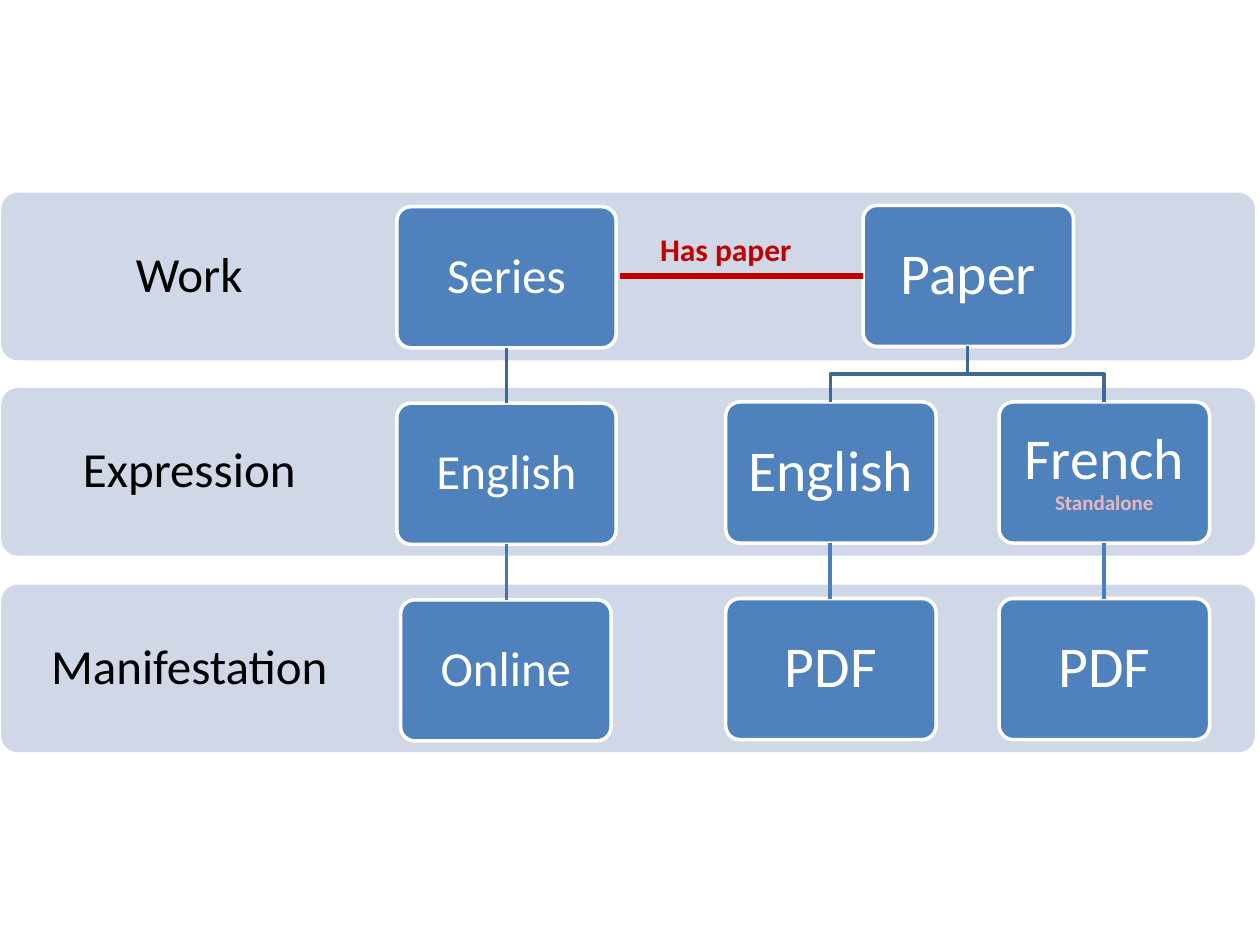
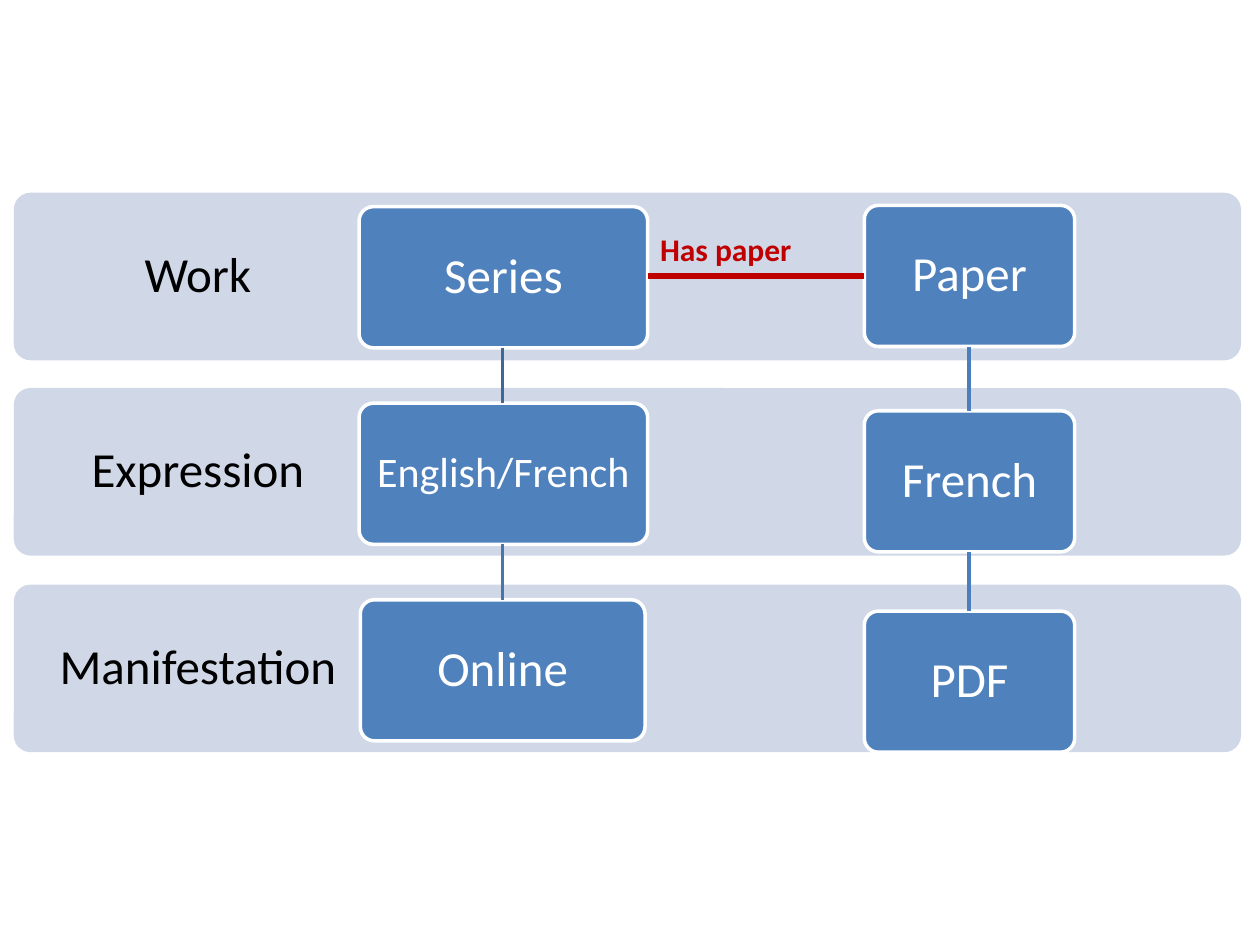
from dataclasses import dataclass

import pptx
import pptx.dml.color
import pptx.enum.shapes
import pptx.enum.text
import pptx.oxml
import pptx.util

PX = 9144  # EMU; 100 px to the inch
FONT = "Calibri"
COLORS = {
    "band": "D0D8E8",
    "box": "4F81BD",
    "white": "FFFFFF",
    "black": "000000",
    "dark": "3F6797",
    "mid": "4875AC",
    "light": "4B7EBC",
    "relation": "C00000",
    "note": "E6B9B8",
}
LEVELS = {"Work": 153, "Expression": 308, "Manifestation": 464}
BAND_HEIGHT = 133
LABEL_SHARE = 0.3
BOX_HEIGHT = 112
RELATION_Y = 219


@dataclass
class Box:
    text: str
    left: int
    top: int
    width: int = 167
    size: int = 28
    inset: int = 14
    note: str = ""

    @property
    def center(self) -> int:
        return self.left + self.width // 2

    @property
    def bottom(self) -> int:
        return self.top + BOX_HEIGHT


@dataclass
class Link:
    upper: Box
    lower: Box
    color: str = "light"
    weight: float = 2.25


@dataclass
class Diagram:
    band_left: int
    band_width: int
    boxes: list[Box]
    links: list[Link]
    relation_start: int
    relation_end: int


def px(n: float) -> int:
    return pptx.util.Emu(round(n * PX))


def rgb(name: str) -> pptx.dml.color.RGBColor:
    return pptx.dml.color.RGBColor.from_string(COLORS[name])


def style_line(line, color: str, weight: float) -> None:
    line.color.rgb = rgb(color)
    line.width = pptx.util.Pt(weight)


def add_round_rect(s, left: int, top: int, width: int, height: int, fill: str):
    sp = s.shapes.add_shape(pptx.enum.shapes.MSO_SHAPE.ROUNDED_RECTANGLE,
                            px(left), px(top), px(width), px(height))
    sp.adjustments[0] = 0.1
    sp.shadow.inherit = False
    sp.fill.solid()
    sp.fill.fore_color.rgb = rgb(fill)
    return sp


def center_text(tf, inset: int) -> None:
    tf.word_wrap = True
    tf.vertical_anchor = pptx.enum.text.MSO_ANCHOR.MIDDLE
    tf.margin_left = tf.margin_right = tf.margin_top = tf.margin_bottom = px(inset)
    for p in tf.paragraphs:
        p.alignment = pptx.enum.text.PP_ALIGN.CENTER
        p.line_spacing = 0.9


def write(p, text: str, size: int, color: str, bold: bool = False) -> None:
    p.text = text
    p.font.name = FONT
    p.font.size = pptx.util.Pt(size)
    p.font.bold = bold
    p.font.color.rgb = rgb(color)


def add_band(s, left: int, top: int, width: int, level: str) -> None:
    add_round_rect(s, left, top, width, BAND_HEIGHT, "band").line.fill.background()
    tf = s.shapes.add_textbox(px(left), px(top), px(width * LABEL_SHARE),
                              px(BAND_HEIGHT)).text_frame
    write(tf.paragraphs[0], level, 28, "black")
    center_text(tf, 22)


def add_box(s, box: Box) -> None:
    sp = add_round_rect(s, box.left, box.top, box.width, BOX_HEIGHT, "box")
    style_line(sp.line, "white", 2)
    tf = sp.text_frame
    write(tf.paragraphs[0], box.text, box.size, "white")
    if box.note:
        write(tf.add_paragraph(), box.note, 12, "note", bold=True)
    center_text(tf, box.inset)


def add_line(s, x1: int, y1: int, x2: int, y2: int, color: str, weight: float) -> None:
    line = s.shapes.add_connector(pptx.enum.shapes.MSO_CONNECTOR.STRAIGHT,
                                  px(x1), px(y1), px(x2), px(y2))
    style_line(line.line, color, weight)
    line._element.spPr.append(pptx.oxml.parse_xml(
        '<a:effectLst xmlns:a="http://schemas.openxmlformats.org/drawingml/2006/main"/>'))


def add_link(s, link: Link) -> None:
    """Join two boxes: straight within a column, stepped across columns."""
    x1, y1 = link.upper.center, link.upper.bottom
    x2, y2 = link.lower.center, link.lower.top
    if abs(x1 - x2) <= 1:
        add_line(s, x1, y1, x1, y2, link.color, link.weight)
        return
    middle = (y1 + y2) // 2
    builder = s.shapes.build_freeform(x1, y1, scale=PX)
    builder.add_line_segments([(x1, middle), (x2, middle), (x2, y2)], close=False)
    sp = builder.convert_to_shape()
    sp.shadow.inherit = False
    sp.fill.background()
    style_line(sp.line, link.color, link.weight)


def add_relation(s, start: int, end: int) -> None:
    add_line(s, start, RELATION_Y, end, RELATION_Y, "relation", 3)
    tf = s.shapes.add_textbox(px(514), px(178), px(152), px(40)).text_frame
    tf.word_wrap = True
    write(tf.paragraphs[0], "Has paper", 18, "relation", bold=True)


def add_diagram(prs, diagram: Diagram) -> None:
    s = prs.slides.add_slide(prs.slide_layouts[6])
    for level, top in LEVELS.items():
        add_band(s, diagram.band_left, top, diagram.band_width, level)
    for box in diagram.boxes:
        add_box(s, box)
    for link in diagram.links:
        add_link(s, link)
    add_relation(s, diagram.relation_start, diagram.relation_end)


def series_links(series: Box, language: Box, online: Box) -> list[Link]:
    return [Link(series, language, "dark", 2), Link(language, online, "mid", 2)]


def standalone_diagram() -> Diagram:
    series = [
        Box("Series", 315, 164, 174, inset=12),
        Box("English", 315, 320, 174, inset=12),
        Box("Online", 318, 476, inset=12),
    ]
    paper = Box("Paper", 685, 163, size=33)
    english = Box("English", 576, 319, size=33)
    english_pdf = Box("PDF", 576, 475, size=33)
    french = Box("French", 793, 319, size=33, note="Standalone")
    french_pdf = Box("PDF", 793, 475, size=33)
    links = series_links(*series) + [
        Link(paper, english, "dark", 2),
        Link(paper, french, "dark", 2),
        Link(english, english_pdf),
        Link(french, french_pdf),
    ]
    boxes = series + [paper, english, english_pdf, french, french_pdf]
    return Diagram(1, 995, boxes, links, 492, paper.left)


def bilingual_diagram() -> Diagram:
    series = [
        Box("Series", 285, 164, 229, inset=12),
        Box("English/French", 285, 320, 229, size=24, inset=10),
        Box("Online", 286, 476, 226, inset=12),
    ]
    paper = Box("Paper", 686, 163)
    french = Box("French", 686, 326)
    pdf = Box("PDF", 686, 485)
    links = series_links(*series) + [Link(paper, french), Link(french, pdf)]
    return Diagram(11, 974, series + [paper, french, pdf], links, 514, paper.left)


def main() -> None:
    prs = pptx.Presentation()
    prs.slide_width, prs.slide_height = px(1000), px(750)
    for diagram in (standalone_diagram(), bilingual_diagram()):
        add_diagram(prs, diagram)
    prs.save("out.pptx")


if __name__ == "__main__":
    main()
